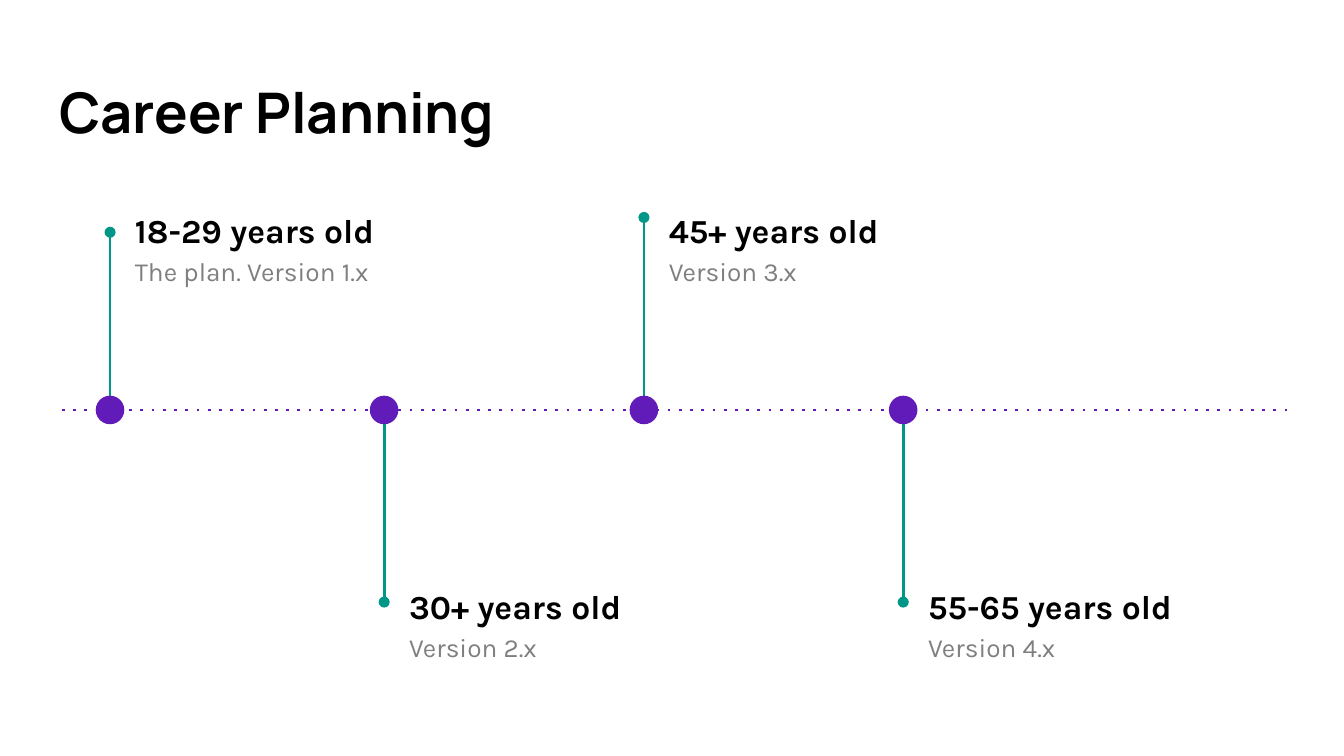
from lxml.etree import SubElement
from pptx import Presentation
from pptx.dml.color import RGBColor
from pptx.enum.shapes import MSO_CONNECTOR as Connector, MSO_SHAPE as Shape
from pptx.enum.text import MSO_ANCHOR as Anchor, MSO_AUTO_SIZE as AutoSize, PP_ALIGN as Align
from pptx.oxml.ns import qn
from pptx.util import Cm, Pt

BLACK = RGBColor(0x00, 0x00, 0x00)
GRAY = RGBColor(0x7F, 0x7F, 0x7F)
PURPLE = RGBColor(0x61, 0x1B, 0xB8)
TEAL = RGBColor(0x00, 0x96, 0x88)

AXIS_Y = 7.75
RADIUS = 0.27

# Each stage: stem x, stem end y, text top, heading, detail
STAGES = [
    (2.08, 4.39, 3.61, "18-29 years old", "The plan. Version 1.x"),
    (7.26, 11.38, 10.72, "30+ years old", "Version 2.x"),
    (12.17, 4.11, 3.61, "45+ years old", "Version 3.x"),
    (17.07, 11.38, 10.72, "55-65 years old", "Version 4.x"),
]


def add_line(shapes, start, end, color, ending, value):
    """Draw a line with one extra line property: a dash or an arrowhead."""
    line = shapes.add_connector(Connector.STRAIGHT, *map(Cm, start + end))
    line.line.color.rgb = color
    line.line.width = Pt(1.5)
    attribute = "val" if ending == "a:prstDash" else "type"
    SubElement(line.line._get_or_add_ln(), qn(ending)).set(attribute, value)
    SubElement(line._element.spPr, qn("a:effectLst"))


def place(placeholder, left, top, width, height, anchor):
    """Move a placeholder and return its text frame, ready for text."""
    placeholder.left, placeholder.top = Cm(left), Cm(top)
    placeholder.width, placeholder.height = Cm(width), Cm(height)
    frame = placeholder.text_frame
    frame.margin_left = frame.margin_right = Cm(0.25)
    frame.margin_top = frame.margin_bottom = Cm(0.25)
    frame.word_wrap = True
    frame.auto_size = AutoSize.NONE
    frame.vertical_anchor = anchor
    return frame


presentation = Presentation()
presentation.slide_width, presentation.slide_height = Cm(25.4), Cm(14.29)

# The Comparison layout has a title and four body placeholders
slide = presentation.slides.add_slide(presentation.slide_layouts[4])
title, *bodies = slide.placeholders

# Title
paragraph = place(title, 0.87, 1.24, 23.67, 1.73, Anchor.MIDDLE).paragraphs[0]
paragraph.alignment = Align.LEFT
run = paragraph.add_run()
run.text = "Career Planning"
run.font.name, run.font.size, run.font.bold = "Manrope", Pt(30), True
run.font.color.rgb = BLACK

# Dotted time axis
add_line(slide.shapes, (1.17, AXIS_Y), (24.33, AXIS_Y), PURPLE, "a:prstDash", "dot")

for body, (x, end_y, text_top, heading, detail) in zip(bodies, STAGES):
    # Marker: a stem from the edge of a dot on the axis
    marker = slide.shapes.add_group_shape()
    edge_y = AXIS_Y - RADIUS if end_y < AXIS_Y else AXIS_Y + RADIUS
    add_line(marker.shapes, (x, edge_y), (x, end_y), TEAL, "a:tailEnd", "oval")
    dot = marker.shapes.add_shape(
        Shape.OVAL, Cm(x - RADIUS), Cm(AXIS_Y - RADIUS), Cm(2 * RADIUS), Cm(2 * RADIUS))
    dot.shadow.inherit = False
    dot.fill.solid()
    dot.fill.fore_color.rgb = PURPLE
    dot.line.fill.background()

    # Heading and detail
    frame = place(body, x + 0.22, text_top, 7.39, 2.69, Anchor.TOP)
    lines = [(heading, 18, BLACK, True), (detail, 14, GRAY, False)]
    for index, (text, size, color, bold) in enumerate(lines):
        paragraph = frame.add_paragraph() if index else frame.paragraphs[0]
        properties = paragraph._p.get_or_add_pPr()
        properties.set("marL", "0")
        properties.set("indent", "0")
        SubElement(properties, qn("a:buNone"))
        paragraph.alignment = Align.LEFT
        paragraph.line_spacing = 1.15
        paragraph.space_before = Pt(0)
        run = paragraph.add_run()
        run.text = text
        run.font.name, run.font.size, run.font.bold = "Karla", Pt(size), bold
        run.font.color.rgb = color

presentation.save("out.pptx")
